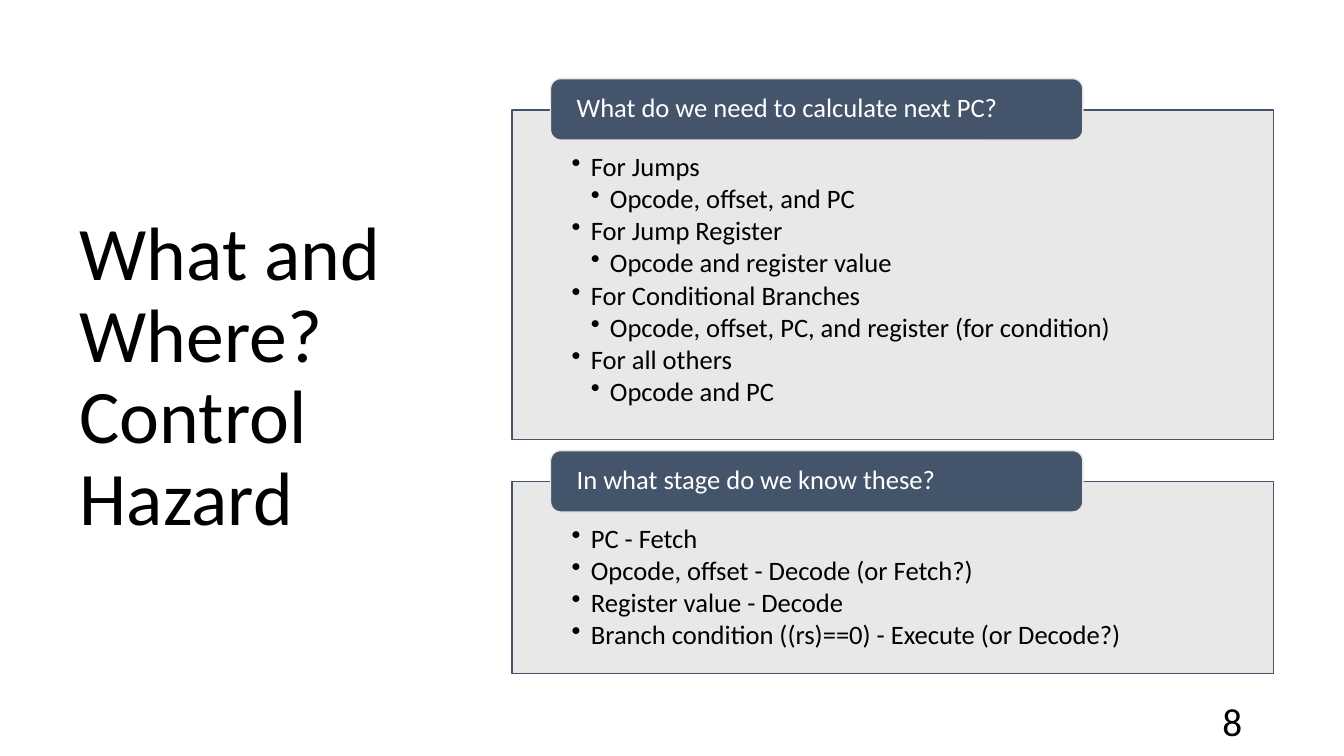
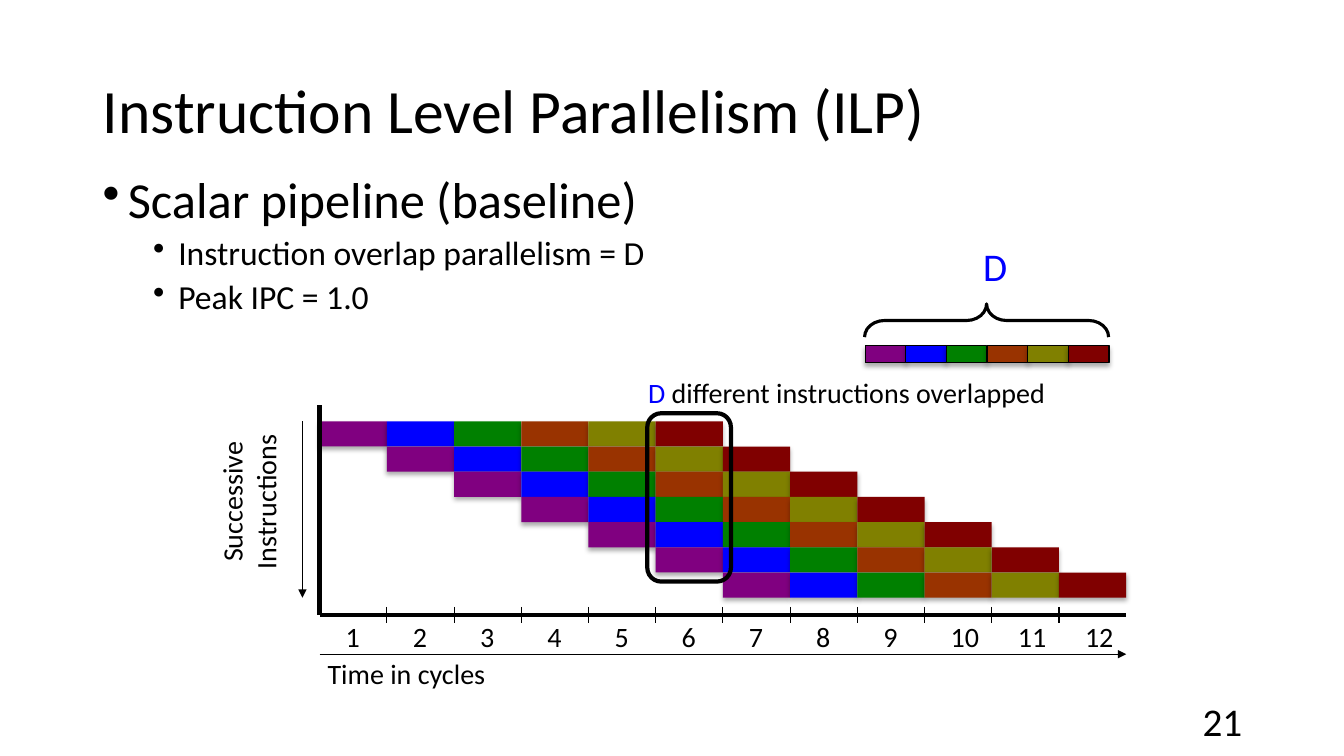
"""Build two slides on control hazards and instruction level parallelism."""
import lxml.etree
import pptx
import pptx.dml.color
import pptx.enum.shapes
import pptx.enum.text
import pptx.oxml.ns
import pptx.util

Inches = pptx.util.Inches
Pt = pptx.util.Pt
RGBColor = pptx.dml.color.RGBColor
SHAPE = pptx.enum.shapes.MSO_SHAPE
ALIGN = pptx.enum.text.PP_ALIGN
ANCHOR = pptx.enum.text.MSO_ANCHOR
qn = pptx.oxml.ns.qn
SubElement = lxml.etree.SubElement

FONT = "Calibri"
BLACK = RGBColor(0x00, 0x00, 0x00)
WHITE = RGBColor(0xFF, 0xFF, 0xFF)
BLUE = RGBColor(0x00, 0x00, 0xFF)
SLATE = RGBColor(0x44, 0x54, 0x6A)
PALE_GRAY = RGBColor(0xE7, 0xE6, 0xE6)
PURPLE = RGBColor(0x80, 0x00, 0x80)
GREEN = RGBColor(0x00, 0x80, 0x00)
RUST = RGBColor(0x99, 0x33, 0x00)
OLIVE = RGBColor(0x80, 0x80, 0x00)
MAROON = RGBColor(0x80, 0x00, 0x00)
STAGE_COLORS = [PURPLE, BLUE, GREEN, RUST, OLIVE, MAROON]


def write(shape, text, *, size, color=BLACK, accent="", align=ALIGN.LEFT, anchor=ANCHOR.TOP,
          wrap=True, margins=(0.1, 0.05, 0.1, 0.05), spacing=1.0, before=0, after=0,
          level=0, indent=None, hanging=0):
    """Add one formatted paragraph to a shape, led by optional blue accent text."""
    frame = shape.text_frame
    paragraph = frame.add_paragraph() if frame.text else frame.paragraphs[0]
    frame.auto_size = pptx.enum.text.MSO_AUTO_SIZE.NONE
    frame.word_wrap = wrap
    frame.vertical_anchor = anchor
    frame.margin_left, frame.margin_top, frame.margin_right, frame.margin_bottom = map(Inches, margins)
    if indent is not None:
        properties = paragraph._p.get_or_add_pPr()
        properties.set("marL", str(Inches(indent)))
        properties.set("indent", str(-Inches(hanging)))
        SubElement(properties, qn("a:buChar"), char="•")
    paragraph.level = level
    paragraph.alignment = align
    paragraph.line_spacing = spacing
    paragraph.space_before = Pt(before)
    paragraph.space_after = Pt(after)
    for part, part_color in ((accent, BLUE), (text, color)):
        if part:
            run = paragraph.add_run()
            run.text = part
            run.font.name = FONT
            run.font.size = Pt(size)
            run.font.color.rgb = part_color


def add_line(slide, start, end, width=0.75, arrow=False):
    """Draw a straight black line, optionally with an arrowhead at its end."""
    line = slide.shapes.add_connector(
        pptx.enum.shapes.MSO_CONNECTOR.STRAIGHT, *map(Inches, (*start, *end)))
    line.line.color.rgb = BLACK
    line.line.width = Pt(width)
    if arrow:
        SubElement(line.line._get_or_add_ln(), qn("a:tailEnd"), type="triangle")
    SubElement(line.element.spPr, qn("a:effectLst"))


presentation = pptx.Presentation()
presentation.slide_width = Inches(13.33)
presentation.slide_height = Inches(7.5)

slides = []
for title, title_box, title_size, number in [
    ("What and Where? Control Hazard", (0.69, 0.7, 3.74, 6.11), 54, "8"),
    ("Instruction Level Parallelism (ILP)", (0.92, 0.4, 11.5, 1.45), 44, "21"),
]:
    slide = presentation.slides.add_slide(presentation.slide_layouts[5])
    title_shape = slide.shapes.title
    title_shape.left, title_shape.top, title_shape.width, title_shape.height = map(Inches, title_box)
    write(title_shape, title, size=title_size, anchor=ANCHOR.MIDDLE, spacing=0.9)
    footer = slide.shapes.add_textbox(*map(Inches, (9.42, 6.95, 3, 0.4)))
    write(footer, number, size=28, align=ALIGN.RIGHT, anchor=ANCHOR.MIDDLE)
    slides.append(slide)
hazard_slide, parallelism_slide = slides

for heading, top, height, bullets in [
    ("What do we need to calculate next PC?", 1.09, 3.27, [
        (0, "For Jumps"),
        (1, "Opcode, offset, and PC"),
        (0, "For Jump Register"),
        (1, "Opcode and register value"),
        (0, "For Conditional Branches"),
        (1, "Opcode, offset, PC, and register (for condition)"),
        (0, "For all others"),
        (1, "Opcode and PC"),
    ]),
    ("In what stage do we know these?", 4.78, 1.9, [
        (0, "PC - Fetch"),
        (0, "Opcode, offset - Decode (or Fetch?)"),
        (0, "Register value - Decode"),
        (0, "Branch condition ((rs)==0) - Execute (or Decode?)"),
    ]),
]:
    panel = hazard_slide.shapes.add_shape(SHAPE.RECTANGLE, *map(Inches, (5.08, top, 7.55, height)))
    tab = hazard_slide.shapes.add_shape(
        SHAPE.ROUNDED_RECTANGLE, *map(Inches, (5.46, top - 0.31, 5.28, 0.61)))
    for shape, fill_color, line_color in [(panel, PALE_GRAY, SLATE), (tab, SLATE, PALE_GRAY)]:
        shape.shadow.inherit = False
        shape.fill.solid()
        shape.fill.fore_color.rgb = fill_color
        shape.line.color.rgb = line_color
        shape.line.width = Pt(1)
    panel_color = panel.element.spPr.find(qn("a:solidFill")).find(qn("a:srgbClr"))
    SubElement(panel_color, qn("a:alpha"), val="90000")
    for level, bullet in bullets:
        write(panel, bullet, size=19, margins=(0.59, 0.43, 0.59, 0.15), spacing=0.9, after=2.5,
              level=level, indent=0.19 * (level + 1), hanging=0.19)
    write(tab, heading, size=19, color=WHITE, anchor=ANCHOR.MIDDLE,
          margins=(0.23, 0, 0.23, 0), spacing=0.9)

body = parallelism_slide.shapes.add_textbox(*map(Inches, (0.92, 1.69, 11.5, 1.6)))
for level, size, before, bullet in [
    (0, 36, 0, "Scalar pipeline (baseline)"),
    (1, 24, 5, "Instruction overlap parallelism = D"),
    (1, 24, 5, "Peak IPC = 1.0"),
]:
    write(body, bullet, size=size, spacing=0.9, before=before, level=level,
          indent=0.25 + 0.5 * level, hanging=0.25)

AXIS_LEFT, AXIS_RIGHT, AXIS_TOP, AXIS_BOTTOM = 3.17, 11.17, 4.02, 6.1
CYCLES = 12
CYCLE_WIDTH = (AXIS_RIGHT - AXIS_LEFT) / CYCLES
INSTRUCTIONS = 7
ROW_TOP, ROW_HEIGHT = 4.18, 0.25
LEGEND_LEFT, LEGEND_WIDTH = 8.58, 2.42
LEGEND_STEP = LEGEND_WIDTH / len(STAGE_COLORS)

blocks = []
for row in range(INSTRUCTIONS):
    for stage, color in enumerate(STAGE_COLORS):
        left = AXIS_LEFT + (row + stage) * CYCLE_WIDTH
        blocks.append((left, ROW_TOP + row * ROW_HEIGHT, CYCLE_WIDTH, ROW_HEIGHT, color, False))
for stage, color in enumerate(STAGE_COLORS):
    blocks.append((LEGEND_LEFT + stage * LEGEND_STEP, 3.43, LEGEND_STEP, 0.17, color, True))

for left, top, width, height, color, outlined in blocks:
    block = parallelism_slide.shapes.add_shape(
        SHAPE.RECTANGLE, *map(Inches, (left, top, width, height)))
    block.fill.solid()
    block.fill.fore_color.rgb = color
    if outlined:
        block.line.color.rgb = BLACK
        block.line.width = Pt(0.75)
    else:
        block.line.fill.background()
    block.shadow.inherit = False
    shadow = SubElement(
        block.element.spPr.find(qn("a:effectLst")), qn("a:outerShdw"),
        blurRad=str(Pt(3.5)), dist=str(Pt(2.2)), dir="5400000", rotWithShape="0")
    shadow_color = SubElement(shadow, qn("a:srgbClr"), val=str(BLACK))
    SubElement(shadow_color, qn("a:alpha"), val="32000")

add_line(parallelism_slide, (AXIS_LEFT, AXIS_TOP), (AXIS_LEFT, AXIS_BOTTOM), width=3)
add_line(parallelism_slide, (AXIS_RIGHT, AXIS_BOTTOM), (AXIS_LEFT, AXIS_BOTTOM), width=3)
add_line(parallelism_slide, (3, ROW_TOP), (3, ROW_TOP + INSTRUCTIONS * ROW_HEIGHT), arrow=True)
add_line(parallelism_slide, (AXIS_LEFT, 6.49), (AXIS_RIGHT, 6.49), arrow=True)

for cycle in range(1, CYCLES + 1):
    tick = AXIS_LEFT + cycle * CYCLE_WIDTH
    if cycle < CYCLES:
        add_line(parallelism_slide, (tick, AXIS_BOTTOM - 0.08), (tick, AXIS_BOTTOM + 0.08))
    label_width = 0.34 if cycle < 10 else 0.48
    cycle_label = parallelism_slide.shapes.add_textbox(
        *map(Inches, (tick - CYCLE_WIDTH + 0.16, AXIS_BOTTOM, label_width, 0.44)))
    write(cycle_label, str(cycle), size=20, wrap=False)

time_label = parallelism_slide.shapes.add_textbox(*map(Inches, (3.15, 6.46, 1.81, 0.44)))
write(time_label, "Time in cycles", size=20, wrap=False)

instruction_label = parallelism_slide.shapes.add_textbox(*map(Inches, (2.08, 4.26, 0.88, 1.44)))
for word in ("Successive", "Instructions"):
    write(instruction_label, word, size=20, align=ALIGN.CENTER, wrap=False)
instruction_label.text_frame._txBody.bodyPr.set("vert", "vert270")

depth_label = parallelism_slide.shapes.add_textbox(*map(Inches, (9.62, 2.35, 0.5, 0.57)))
write(depth_label, "D", size=28, color=BLUE, align=ALIGN.CENTER, wrap=False)

overlap_label = parallelism_slide.shapes.add_textbox(*map(Inches, (6.33, 3.68, 4.18, 0.44)))
write(overlap_label, " different instructions overlapped", size=20, accent="D", wrap=False)

brace = parallelism_slide.shapes.add_shape(
    SHAPE.LEFT_BRACE, *map(Inches, (9.62, 1.97, 0.33, LEGEND_WIDTH)))
brace.rotation = 90
brace.adjustments[0] = 0.6
overlap_frame = parallelism_slide.shapes.add_shape(
    SHAPE.ROUNDED_RECTANGLE, *map(Inches, (6.42, 4.1, 0.83, 1.67)))
for outline, width in [(brace, 2.25), (overlap_frame, 3)]:
    outline.fill.background()
    outline.line.color.rgb = BLACK
    outline.line.width = Pt(width)
    outline.shadow.inherit = False

presentation.save("out.pptx")
